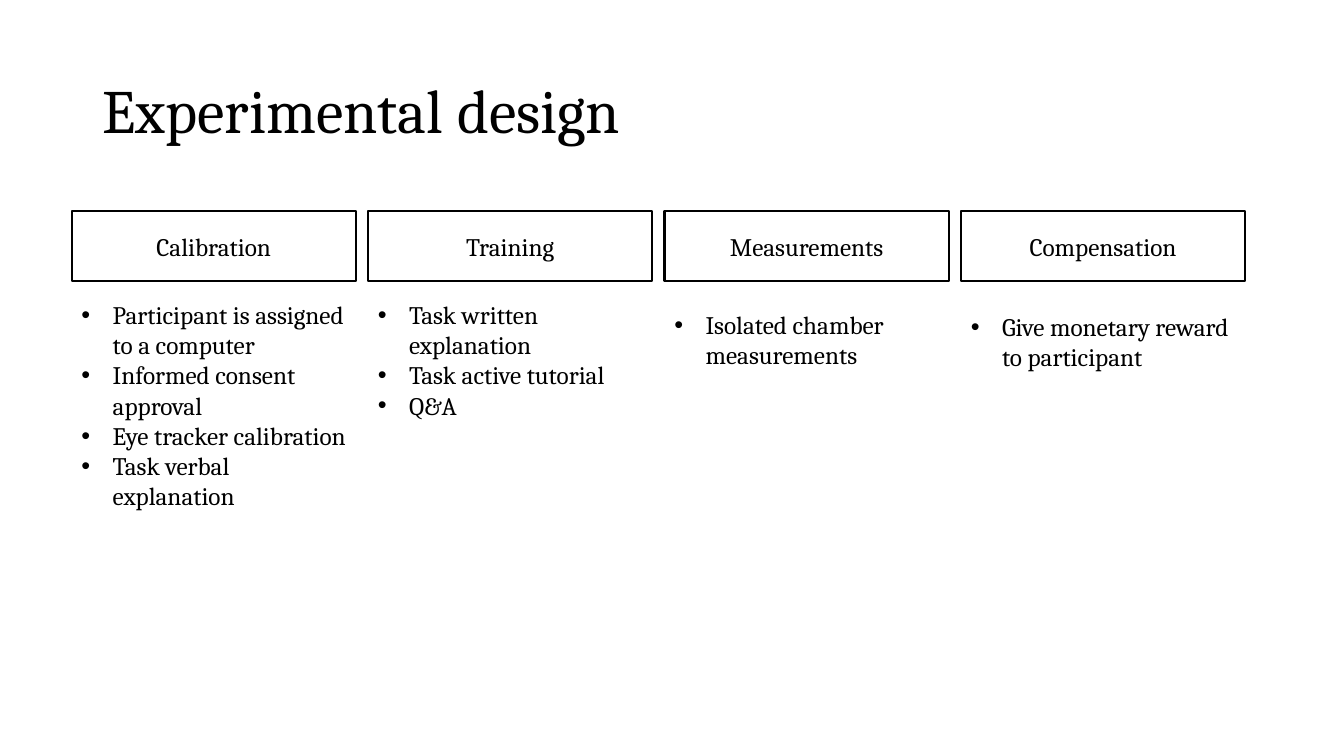
from lxml import etree
from pptx import Presentation
from pptx import util as u
from pptx.dml.color import RGBColor
from pptx.enum import shapes, text
from pptx.oxml import ns

COLORS = {"ink": "000000", "paper": "FFFFFF"}

# heading, top of the bullet list, list height, bullets
STAGES = [
    ("Calibration", 2.92, 2.83, [
        "Participant is assigned to a computer",
        "Informed consent approval",
        "Eye tracker calibration",
        "Task verbal explanation",
    ]),
    ("Training", 2.92, 1.31, [
        "Task written explanation",
        "Task active tutorial",
        "Q&A",
    ]),
    ("Measurements", 3.02, 0.71, ["Isolated chamber measurements"]),
    ("Compensation", 3.04, 0.71, ["Give monetary reward to participant"]),
]
STAGE_LEFT, STAGE_STEP, STAGE_WIDTH = 0.71, 2.94, 2.82
HEADING_TOP, HEADING_HEIGHT = 2.09, 0.7


class SlideBuilder:
    font = "Cambria"
    title_size = 44
    body_size = 18
    bullet_indent = u.Inches(0.31)

    def __init__(self, slide):
        self.slide = slide

    def color(self, name):
        return RGBColor.from_string(COLORS[name])

    def format_runs(self, p, size):
        for r in p.runs:
            r.font.name = self.font
            r.font.size = u.Pt(size)
            r.font.color.rgb = self.color("ink")

    def textbox(self, left, top, width, height):
        sp = self.slide.shapes.add_textbox(
            u.Inches(left), u.Inches(top), u.Inches(width), u.Inches(height))
        sp.text_frame.word_wrap = True
        return sp.text_frame

    def title(self, words, left, top, width, height):
        tf = self.textbox(left, top, width, height)
        tf.vertical_anchor = text.MSO_ANCHOR.MIDDLE
        tf.text = words
        p = tf.paragraphs[0]
        p.line_spacing = 0.9
        self.format_runs(p, self.title_size)

    def heading_box(self, words, left, top, width, height):
        sp = self.slide.shapes.add_shape(
            shapes.MSO_SHAPE.RECTANGLE,
            u.Inches(left), u.Inches(top), u.Inches(width), u.Inches(height))
        sp.shadow.inherit = False
        sp.fill.solid()
        sp.fill.fore_color.rgb = self.color("paper")
        sp.line.color.rgb = self.color("ink")
        sp.line.width = u.Pt(1.5)
        tf = sp.text_frame
        tf.vertical_anchor = text.MSO_ANCHOR.MIDDLE
        tf.text = words
        p = tf.paragraphs[0]
        p.alignment = text.PP_ALIGN.CENTER
        self.format_runs(p, self.body_size)

    def bullet_list(self, items, left, top, width, height):
        tf = self.textbox(left, top, width, height)
        tf.auto_size = text.MSO_AUTO_SIZE.SHAPE_TO_FIT_TEXT
        tf.text = "\n".join(items)
        for p in tf.paragraphs:
            self.format_runs(p, self.body_size)
            self.add_bullet(p)

    def add_bullet(self, p):
        pPr = p._p.get_or_add_pPr()
        pPr.set("marL", str(self.bullet_indent))
        pPr.set("indent", str(-self.bullet_indent))
        etree.SubElement(pPr, ns.qn("a:buFont")).set("typeface", "Arial")
        etree.SubElement(pPr, ns.qn("a:buChar")).set("char", "•")


def main():
    prs = Presentation()
    prs.slide_width = u.Inches(13.33)
    prs.slide_height = u.Inches(7.5)
    s = SlideBuilder(prs.slides.add_slide(prs.slide_layouts[6]))

    s.title("Experimental design", 0.92, 0.4, 11.5, 1.45)
    for i, (heading, list_top, list_height, items) in enumerate(STAGES):
        left = STAGE_LEFT + i * STAGE_STEP
        s.heading_box(heading, left, HEADING_TOP, STAGE_WIDTH, HEADING_HEIGHT)
        s.bullet_list(items, left, list_top, STAGE_WIDTH, list_height)

    prs.save("out.pptx")


if __name__ == "__main__":
    main()
